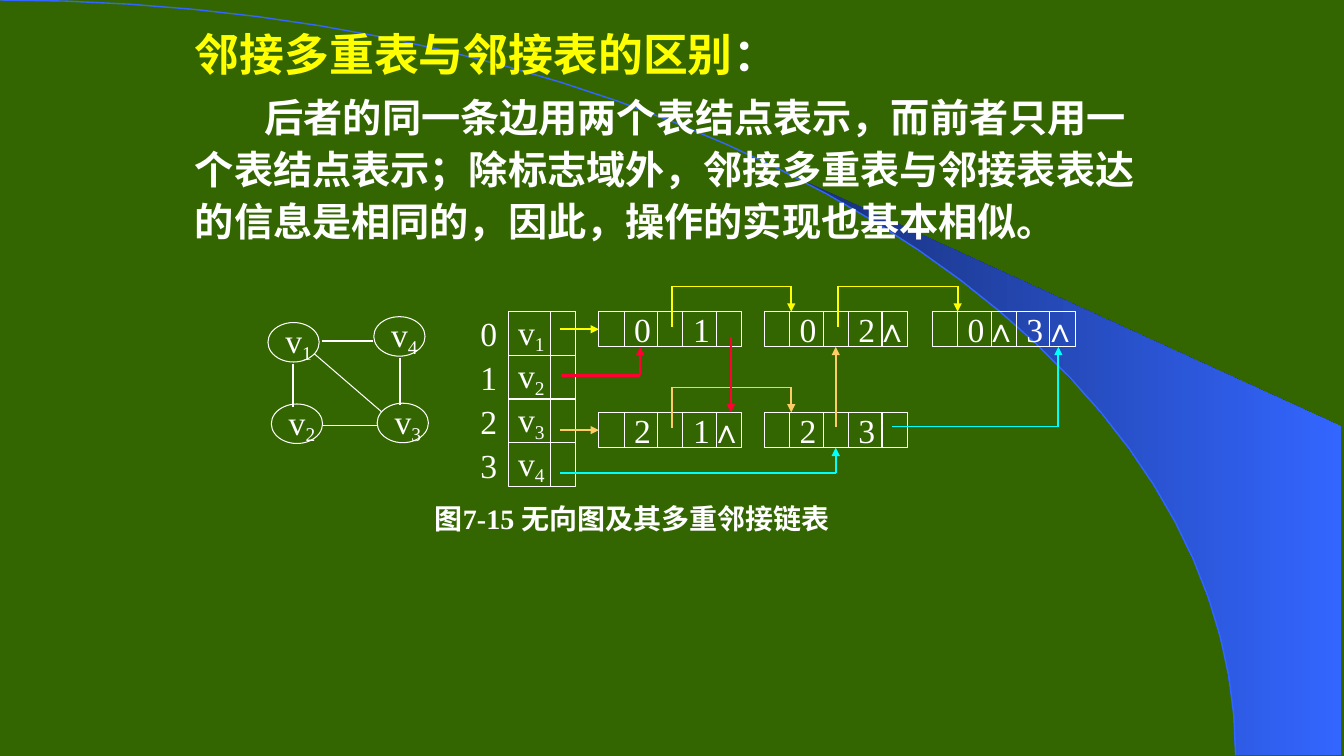
from dataclasses import dataclass
from math import asin, cos, pi, sin
from typing import NamedTuple, Optional

from lxml.etree import SubElement
from pptx import Presentation
from pptx.dml.color import RGBColor as Rgb
from pptx.enum.shapes import MSO_CONNECTOR as Conn, MSO_SHAPE as Kind
from pptx.enum.text import MSO_ANCHOR as Anchor, MSO_AUTO_SIZE as Fit, PP_ALIGN as Align
from pptx.oxml.ns import qn
from pptx.util import Emu, Inches, Pt


@dataclass(frozen=True)
class Theme:
    green: str = "336600"
    navy: str = "182F76"
    blue: str = "3366FF"
    white: str = "FFFFFF"
    yellow: str = "FFFF00"
    orange: str = "FFCC66"
    red: str = "FF0033"
    cyan: str = "00FFFF"
    latin: str = "Times New Roman"
    asian: str = "Noto Sans CJK SC"
    head: int = 32
    body: int = 28
    label: int = 24
    note: int = 20
    thin: float = 0.75
    bold: float = 1.5


class Box(NamedTuple):
    x: float
    y: float
    w: float
    h: float


class Node(NamedTuple):
    x: float
    y: float
    left: str
    right: str


class Glue(NamedTuple):
    node: int
    side: int


class Link(NamedTuple):
    color: str
    points: list
    thin: Optional[int] = None  # number of the thin leg
    glue: Optional[Glue] = None


T = Theme()
UNIT = Inches(1) / 12  # the slide is a grid of 160 columns by 90 rows


def grid(n: float) -> Emu:
    return Emu(round(n * UNIT))


def style(run, size: float, color: str = T.white, bold: bool = False) -> None:
    font = run.font
    font.size, font.bold, font.name = Pt(size), bold, T.latin
    font.color.rgb = Rgb.from_string(color)
    SubElement(font._rPr, qn("a:ea"), typeface=T.asian)


def write(shape, text: str, size: float = T.label, sub: str = "", bold: bool = False) -> None:
    frame = shape.text_frame
    frame.text = text
    frame.word_wrap, frame.vertical_anchor = False, Anchor.MIDDLE
    para = frame.paragraphs[0]
    para.alignment = Align.LEFT
    style(para.runs[0], size, bold=bold)
    if sub:
        low = para.add_run()
        low.text = sub
        style(low, size)
        low.font._rPr.set("baseline", "-20000")


def frame(kind: Kind, box: Box):
    shape = shapes.add_shape(kind, *map(grid, box))
    shape.shadow.inherit = False
    shape.fill.background()
    shape.line.color.rgb = Rgb.from_string(T.white)
    shape.line.width = Pt(T.thin)
    return shape


def label(box: Box, text: str, size: float = T.label, bold: bool = False):
    shape = shapes.add_textbox(*map(grid, box))
    write(shape, text, size, bold=bold)
    return shape


def stroke(start: tuple, end: tuple, color: str = T.white, width: float = T.thin,
           arrow: bool = False):
    line = shapes.add_connector(Conn.STRAIGHT, *map(grid, start + end))
    line.line.color.rgb = Rgb.from_string(color)
    line.line.width = Pt(width)
    if arrow:
        SubElement(line.line._get_or_add_ln(), qn("a:tailEnd"), type="triangle")
    SubElement(line._element.spPr, qn("a:effectLst"))
    return line


def outline(points: list, close: bool):
    (x, y), *rest = [(grid(a), grid(b)) for a, b in points]
    build = shapes.build_freeform(x, y)
    build.add_line_segments(rest, close=close)
    shape = build.convert_to_shape()
    shape.shadow.inherit = False
    body._element.addprevious(shape._element)
    return shape


def arc(start: float, steps: int) -> list:
    turns = [start + (pi / 2 - start) * i / steps for i in range(steps + 1)]
    return [(147.1 * sin(t), 89.9 * (1 - cos(t))) for t in turns]


def draw(node: Node):
    shape = frame(Kind.RECTANGLE, Box(node.x, node.y, 17, 4.2))
    for cut in (3, 7, 10, 14):
        stroke((node.x + cut, node.y), (node.x + cut, node.y + 4.2))
    # Wider than the node, since the closing mark has a wide advance
    text = label(Box(node.x, node.y, 20, 4.2), f"\t{node.left}\t{node.right}").text_frame
    text.word_wrap = True
    text.margin_left = text.margin_right = 0
    tabs = SubElement(text.paragraphs[0]._p.get_or_add_pPr(), qn("a:tabLst"))
    for stop in (4.2, 11.2):
        SubElement(tabs, qn("a:tab"), pos=str(grid(stop)), algn="l")
    return shape


def join(link: Link) -> None:
    legs = list(zip(link.points, link.points[1:]))
    for i, (start, end) in enumerate(legs):
        last = i == len(legs) - 1
        line = stroke(start, end, link.color, T.thin if i == link.thin else T.bold, last)
        if last and link.glue:
            line.end_connect(nodes[link.glue.node], link.glue.side)


def loop(color: str, x: float, top: float) -> Link:
    return Link(color, [(x, top + 1.8), (x, top - 3), (x + 14.2, top - 3), (x + 14.2, top)], 1)


deck = Presentation()
deck.slide_width, deck.slide_height = grid(160), grid(90)
slide = deck.slides.add_slide(deck.slide_layouts[1])
shapes = slide.shapes
title, body = slide.placeholders
title._element.getparent().remove(title._element)

# Background
slide.background.fill.solid()
slide.background.fill.fore_color.rgb = Rgb.from_string(T.green)
sweep = outline(arc(asin(94.3 / 147.1), 14) + [(159.7, 89.9), (159.7, 50.8)], True)
sweep.line.fill.background()
sweep.fill.gradient()
sweep.fill.gradient_angle = 0
for stop, color in zip(sweep.fill.gradient_stops, (T.navy, T.blue)):
    stop.color.rgb = Rgb.from_string(color)
curve = outline(arc(0, 30), False)
curve.fill.background()
curve.line.color.rgb = Rgb.from_string(T.blue)
curve.line.width = Pt(1)

# Heading and explanation
body.left, body.top, body.width, body.height = map(grid, Box(22, 2, 115.7, 28.8))
text = body.text_frame
text.text = ("邻接多重表与邻接表的区别\n后者的同一条边用两个表结点表示，而前者只用一个表结点表示；"
             "除标志域外，邻接多重表与邻接表表达的信息是相同的，因此，操作的实现也基本相似。")
text.auto_size, text.vertical_anchor = Fit.NONE, Anchor.TOP
for para, size, indent in zip(text.paragraphs, (T.head, T.body), (0, 8.3)):
    para.alignment = Align.LEFT
    para.line_spacing, para.space_before = 1.1, Pt(size / 5)
    props = para._p.get_or_add_pPr()
    props.set("marL", "0")
    props.set("indent", str(grid(indent)))
    SubElement(props, qn("a:buNone"))
    style(para.runs[0], size, T.white if indent else T.yellow, True)
colon = text.paragraphs[0].add_run()
colon.text = "："
style(colon, T.head, bold=True)

# Graph
for i, spot in enumerate([(31.9, 38.4), (32.3, 48.1), (44.9, 48), (44.5, 37.7)], 1):
    write(frame(Kind.OVAL, Box(*spot, 6.1, 4.7)), "v", sub=str(i))
for start, end, width in [((34.9, 43.3), (34.9, 48.4), T.bold), ((47.6, 42.6), (47.6, 48.2), T.bold),
                          ((37.4, 42.1), (45.4, 49), T.thin), ((38.3, 40.6), (44.4, 40.6), T.thin),
                          ((38.4, 50.6), (45, 50.6), T.thin)]:
    stroke(start, end, width=width)

# Vertex table
for i in range(4):
    y = 37.1 + 5.2 * i
    label(Box(56, y, 3.7, 5.2), str(i))
    write(frame(Kind.RECTANGLE, Box(60.5, y, 8, 5.2)), "v", sub=str(i + 1))
    stroke((65.5, y), (65.5, y + 5.2))

# Edge nodes and their links
nodes = [draw(n) for n in [
    Node(71.3, 37.1, "0", "1"), Node(91, 37.1, "0", "2∧"), Node(111, 37.1, "0∧", "3∧"),
    Node(71.3, 49.1, "2", "1∧"), Node(91, 49.1, "2", "3")]]
for link in [
    loop(T.yellow, 80, 37.1), loop(T.yellow, 99.8, 37.1), loop(T.orange, 80, 49.1),
    Link(T.yellow, [(66.7, 39.2), (71.3, 39.2)], glue=Glue(0, 1)),
    Link(T.orange, [(66.7, 51.2), (71.3, 51.2)], glue=Glue(3, 1)),
    Link(T.red, [(66.8, 44.7), (76.2, 44.7), (76.2, 41.3)]),
    Link(T.red, [(87, 40.1), (87, 49.1)]),
    Link(T.orange, [(99.5, 50.8), (99.5, 41.3)], glue=Glue(1, 2)),
    Link(T.cyan, [(66.7, 56.3), (99.5, 56.3), (99.5, 53.3)], glue=Glue(4, 2)),
    Link(T.cyan, [(106.2, 50.8), (126, 50.8), (126, 41.3)], 0),
]:
    join(link)

# Caption
label(Box(50.6, 59.6, 53, 4.2), "图7-15 无向图及其多重邻接链表", T.note, True)

deck.save("out.pptx")
